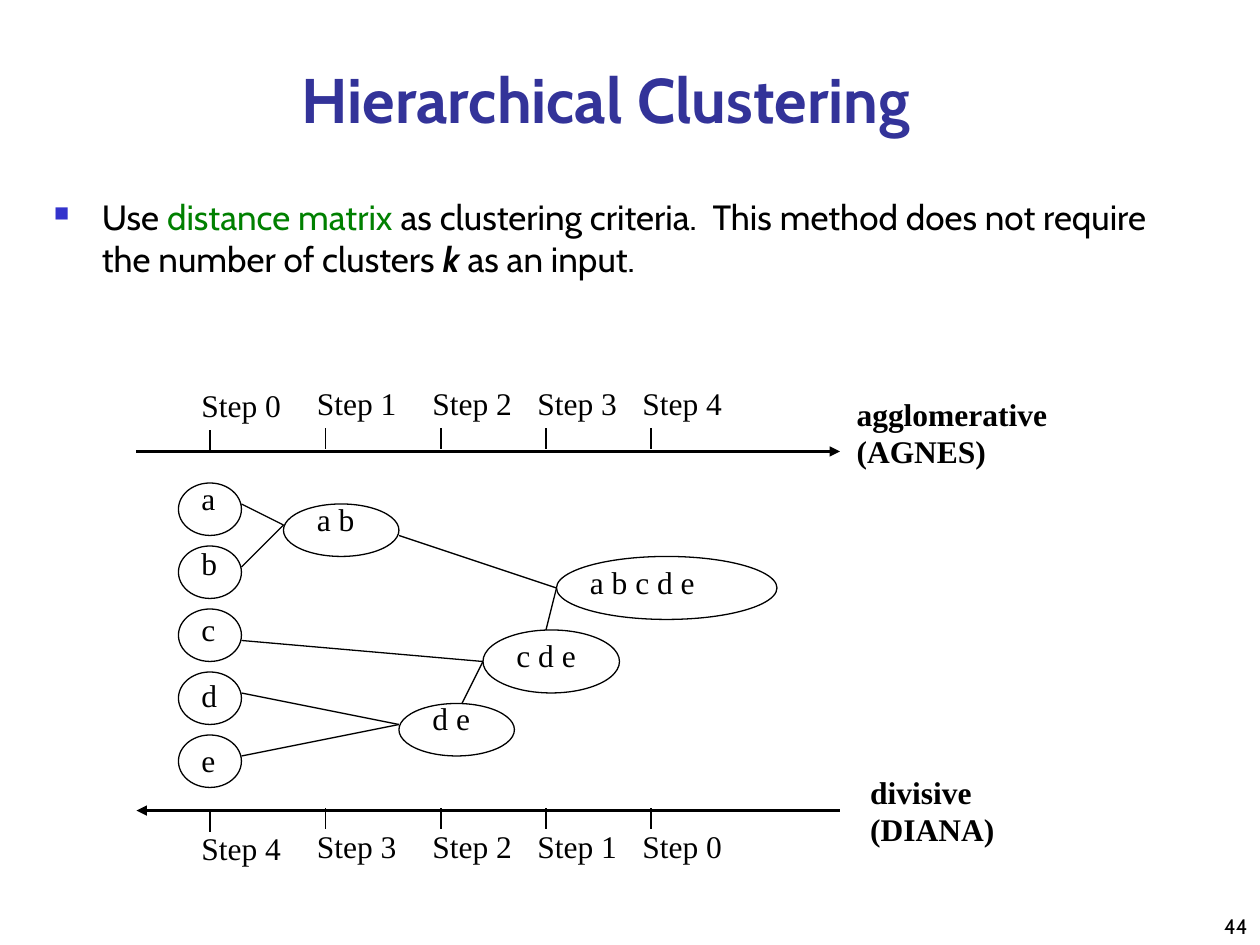
from lxml import etree
from pptx import Presentation
from pptx.dml.color import RGBColor
from pptx.enum.shapes import MSO_CONNECTOR, MSO_SHAPE
from pptx.enum.text import MSO_ANCHOR, PP_ALIGN
from pptx.oxml.ns import qn
from pptx.util import Inches, Pt

STRAIGHT, OVAL = MSO_CONNECTOR.STRAIGHT, MSO_SHAPE.OVAL
TOP, MIDDLE, BOTTOM = MSO_ANCHOR.TOP, MSO_ANCHOR.MIDDLE, MSO_ANCHOR.BOTTOM
LEFT, CENTER, RIGHT = PP_ALIGN.LEFT, PP_ALIGN.CENTER, PP_ALIGN.RIGHT
BLACK = RGBColor(0, 0, 0)
NAVY = RGBColor(0x33, 0x33, 0x99)
GREEN = RGBColor(0, 0x80, 0)
BULLET_BLUE = "3333CC"
SANS, SERIF = "Cabin", "Times New Roman"

# The diagram lies on a grid of twelfths of an inch.
GRID = 12
AXIS_START, AXIS_END = 13, 80
STEP_COLUMNS = [20, 31, 42, 52, 62]
STEP_0_DROP = 0.2
TICK = 2

# axis row, tick top row, label row, step numbers, arrow end
AXES = [
    (43, 40.8, 36, [0, 1, 2, 3, 4], "tailEnd"),
    (77.2, 77, 78.2, [4, 3, 2, 1, 0], "headEnd"),
]
# words, column, row, width
METHODS = [
    (["agglomerative", "(AGNES)"], 80.4, 37, 26.6),
    (["divisive", "(DIANA)"], 81.7, 73, 18.2),
]
ITEMS = "abcde"
# name, column, row, width, height, label row
CLUSTERS = [
    ("a b", 27, 48, 11, 5, 47),
    ("d e", 38, 67, 11, 5, 66),
    ("c d e", 46, 60, 13, 6, 60),
    ("a b c d e", 53, 53, 21, 6, 53),
]
# joint of each merge and the points it gathers
MERGES = [
    ((27, 50), [(23, 48), (23, 54)]),
    ((38, 69), [(23, 66), (23, 72)]),
    ((46, 63), [(23, 61), (44, 67)]),
    ((53, 56), [(38, 51), (52, 60)]),
]
CRITERIA = [
    ("Use ", BLACK, False),
    ("distance matrix ", GREEN, False),
    ("as clustering criteria.  This method does not require the number of clusters ", BLACK, False),
    ("k", BLACK, True),
    (" as an input.", BLACK, False),
]


def grid(value):
    return Inches(value / GRID)


def add_text(slide, lines, box, size, font=SERIF, color=BLACK, bold=False,
             align=LEFT, anchor=TOP):
    frame = slide.shapes.add_textbox(*box).text_frame
    frame.word_wrap = True
    frame.vertical_anchor = anchor
    frame.text = "\n".join(lines)
    for paragraph in frame.paragraphs:
        paragraph.alignment = align
        paragraph.font.size = Pt(size)
        paragraph.font.name = font
        paragraph.font.bold = bold
        paragraph.font.color.rgb = color


def add_label(slide, lines, column, row, width, height=4.8, bold=False):
    add_text(slide, lines, [grid(v) for v in (column, row, width, height)], 18, bold=bold)


def add_line(slide, start, end, width=0.75, arrow_end=None):
    line = slide.shapes.add_connector(STRAIGHT, *[grid(v) for v in (*start, *end)])
    line.line.color.rgb = BLACK
    line.line.width = Pt(width)
    if arrow_end:
        etree.SubElement(line.line._get_or_add_ln(), qn(f"a:{arrow_end}"), type="triangle")
    etree.SubElement(line._element.spPr, qn("a:effectLst"))


def add_ellipse(slide, *box):
    ellipse = slide.shapes.add_shape(OVAL, *[grid(v) for v in box])
    ellipse.shadow.inherit = False
    ellipse.fill.background()
    ellipse.line.color.rgb = BLACK
    ellipse.line.width = Pt(0.75)


def add_criteria(slide):
    frame = slide.shapes.add_textbox(
        Inches(0.33), Inches(1.5), Inches(9.08), Inches(1.33)).text_frame
    frame.word_wrap = True
    paragraph = frame.paragraphs[0]
    properties = paragraph._p.get_or_add_pPr()
    properties.set("marL", str(Inches(0.38)))
    properties.set("indent", str(-Inches(0.38)))
    bullet_color = etree.SubElement(properties, qn("a:buClr"))
    etree.SubElement(bullet_color, qn("a:srgbClr"), val=BULLET_BLUE)
    etree.SubElement(properties, qn("a:buSzPct"), val="60000")
    etree.SubElement(properties, qn("a:buChar"), char="■")
    paragraph.font.size = Pt(20)
    paragraph.font.name = SANS
    for words, color, emphasis in CRITERIA:
        run = paragraph.add_run()
        run.text = words
        run.font.color.rgb = color
        run.font.bold = run.font.italic = emphasis


def add_axis(slide, axis_row, tick_row, label_row, steps, arrow_end):
    add_line(slide, (AXIS_START, axis_row), (AXIS_END, axis_row), 1.5, arrow_end)
    for index, (column, step) in enumerate(zip(STEP_COLUMNS, steps)):
        drop = STEP_0_DROP if index == 0 else 0
        add_line(slide, (column, tick_row + drop), (column, tick_row + drop + TICK))
        add_label(slide, [f"Step {step}"], column - 2, label_row + drop, 10)


def main():
    deck = Presentation()
    deck.slide_width, deck.slide_height = Inches(10), Inches(7.5)
    slide = deck.slides.add_slide(deck.slide_layouts[6])

    add_text(slide, ["Hierarchical Clustering"],
             [Inches(v) for v in (0.82, 0.54, 7.98, 0.48)],
             36, SANS, NAVY, True, CENTER, MIDDLE)
    add_criteria(slide)
    for axis in AXES:
        add_axis(slide, *axis)
    for index, item in enumerate(ITEMS):
        add_label(slide, [item], 18, 45 + 6.25 * index, 4.3, 6)
        add_ellipse(slide, 17, 46 + 6 * index, 6, 5)
    for name, column, row, width, height, label_row in CLUSTERS:
        add_label(slide, [name], column + 2, label_row, width - 3, 6)
        add_ellipse(slide, column, row, width, height)
    for joint, sources in MERGES:
        for source in sources:
            add_line(slide, source, joint)
    for words, column, row, width in METHODS:
        add_label(slide, words, column, row, width, 10.8, bold=True)
    add_text(slide, ["44"], [Inches(v) for v in (7.92, 7.08, 2.08, 0.42)],
             12, SANS, align=RIGHT, anchor=BOTTOM)

    deck.save("out.pptx")


if __name__ == "__main__":
    main()
